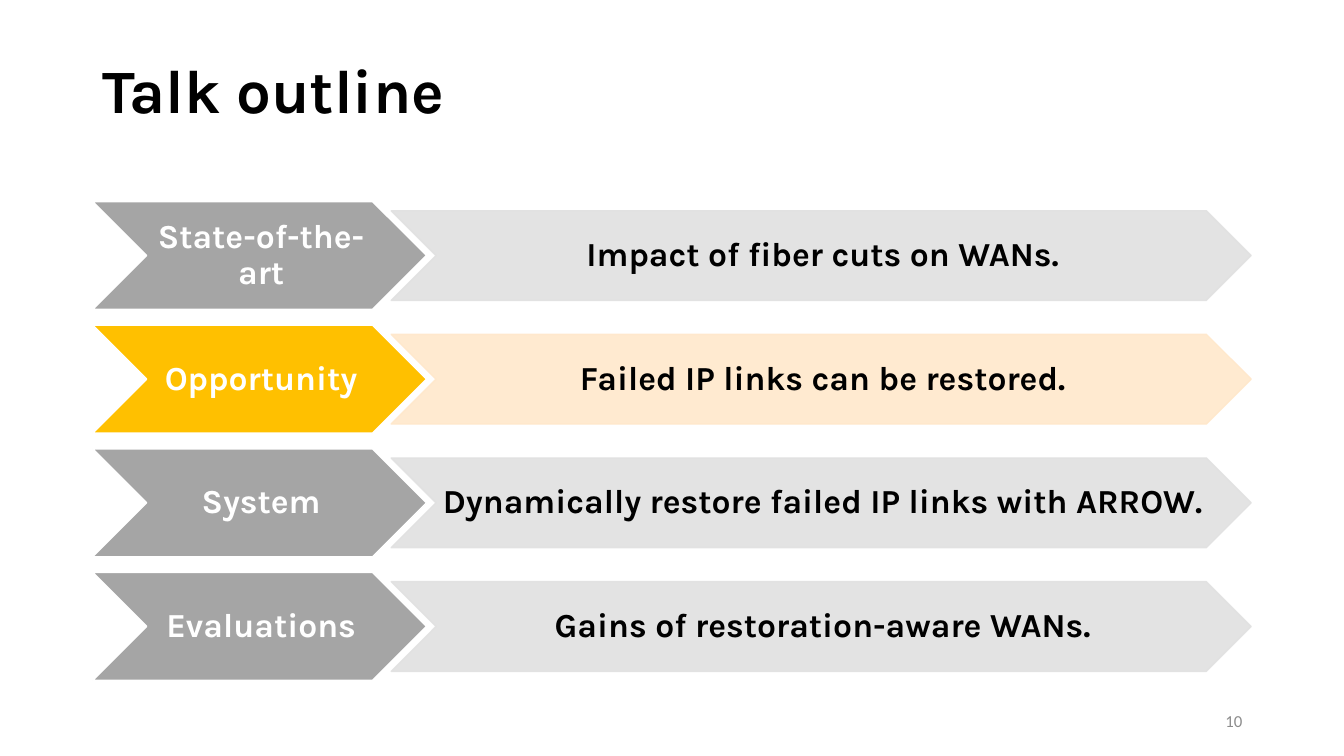
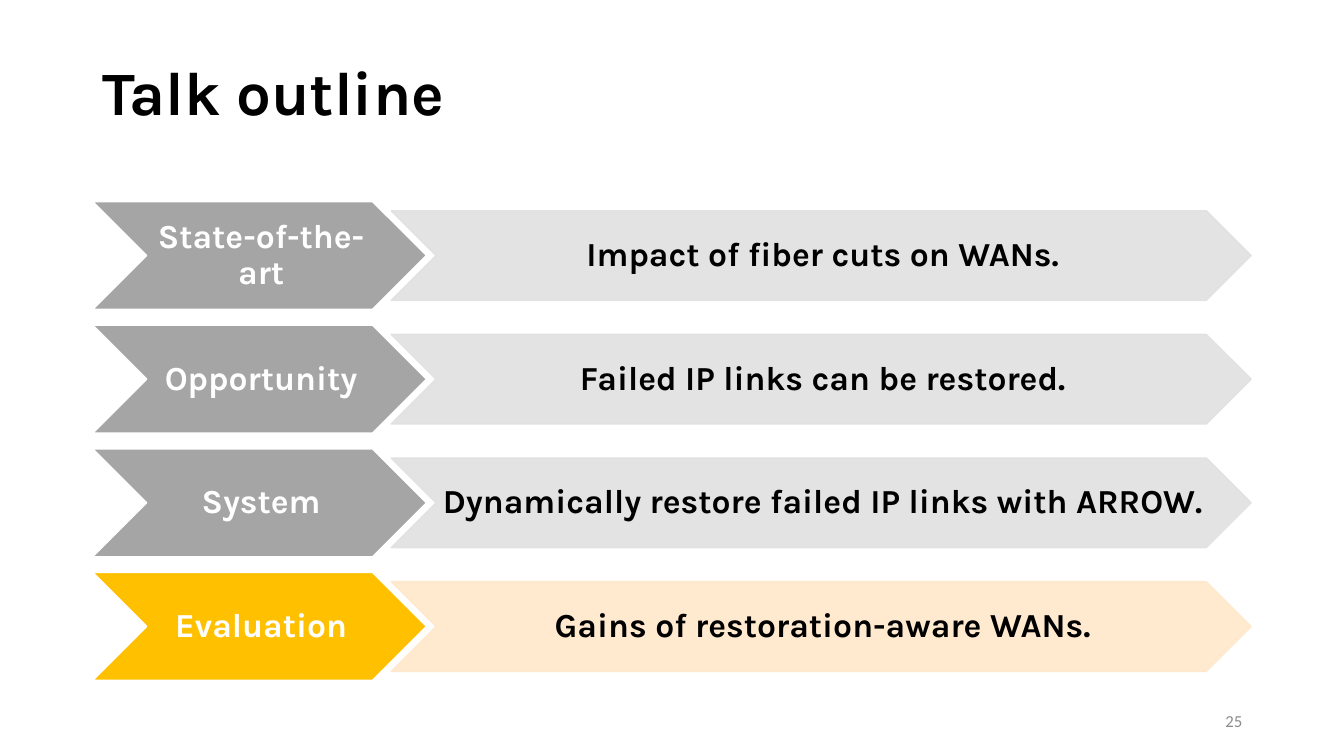
from dataclasses import dataclass

from pptx import Presentation
from pptx.dml.color import RGBColor
from pptx.enum.shapes import MSO_SHAPE
from pptx.enum.text import MSO_ANCHOR, PP_ALIGN
from pptx.oxml.ns import qn
from pptx.util import Inches, Pt
from lxml import etree

CHEVRON = MSO_SHAPE.CHEVRON
MIDDLE = MSO_ANCHOR.MIDDLE
LEFT, CENTER, RIGHT = PP_ALIGN.LEFT, PP_ALIGN.CENTER, PP_ALIGN.RIGHT

# Shared look
HEAD, BODY = "Karla", "Calibri"
BLACK, WHITE, MUTED = "000000", "FFFFFF", "8C8C8C"
EDGE = 0.92
TOP, LAST = 2, 5.68
TAG_W, TAG_H = 3.31, 1.07
BAR_X, BAR_W, BAR_H = 3.88, 8.53, 0.89
ALPHA = 90


@dataclass(frozen=True)
class Tone:
    tag: str
    bar: str


@dataclass(frozen=True)
class Topic:
    name: str
    point: str


@dataclass(frozen=True)
class Outline:
    page: int
    title_h: float
    active: int
    topics: tuple[Topic, ...]


DIM = Tone("A5A5A5", "E1E1E1")
LIT = Tone("FFC000", "FFE8CB")

COMMON = (
    Topic("State-of-the-art", "Impact of fiber cuts on WANs."),
    Topic("Opportunity", "Failed IP links can be restored."),
    Topic("System", "Dynamically restore failed IP links with ARROW."),
)
GAINS = "Gains of restoration-aware WANs."
SLIDES = (
    Outline(10, 1.06, 1, COMMON + (Topic("Evaluations", GAINS),)),
    Outline(25, 1.09, 3, COMMON + (Topic("Evaluation", GAINS),)),
)


def color(code: str) -> RGBColor:
    return RGBColor.from_string(code)


def write(shape, text: str, size: int, ink: str, align,
          font: str = HEAD, bold: bool = True, spacing: float = 0.9) -> None:
    frame = shape.text_frame
    frame.text = text
    frame.word_wrap = True
    frame.vertical_anchor = MIDDLE
    para = frame.paragraphs[0]
    para.alignment = align
    para.line_spacing = spacing
    style = para.runs[0].font
    style.name, style.size, style.bold = font, Pt(size), bold
    style.color.rgb = color(ink)


def add_box(slide, left: float, top: float, width: float, height: float):
    return slide.shapes.add_textbox(
        Inches(left), Inches(top), Inches(width), Inches(height))


def add_arrow(slide, left: float, mid: float, width: float, height: float,
              fill: str, line: str, text: str, ink: str):
    """Draw a chevron centred on the height mid, with its text inside."""
    shape = slide.shapes.add_shape(
        CHEVRON, Inches(left), Inches(mid - height / 2),
        Inches(width), Inches(height))
    shape.shadow.inherit = False
    shape.fill.solid()
    shape.fill.fore_color.rgb = color(fill)
    shape.line.color.rgb = color(line)
    shape.line.width = Pt(1)
    frame = shape.text_frame
    frame.margin_left, frame.margin_right = Inches(0.03), Inches(0)
    frame.margin_top = frame.margin_bottom = Inches(0.02)
    write(shape, text, 24, ink, CENTER)
    return shape


def fade(shape, percent: int) -> None:
    """Make the fill and the line of a shape see-through."""
    for tint in shape.element.spPr.iter(qn("a:srgbClr")):
        etree.SubElement(tint, qn("a:alpha"), val=str(percent * 1000))


def add_row(slide, topic: Topic, mid: float, tone: Tone) -> None:
    add_arrow(slide, EDGE, mid, TAG_W, TAG_H,
              tone.tag, WHITE, topic.name, WHITE)
    bar = add_arrow(slide, BAR_X, mid, BAR_W, BAR_H,
                    tone.bar, tone.bar, topic.point, BLACK)
    fade(bar, ALPHA)


def add_outline(deck, plan: Outline) -> None:
    slide = deck.slides.add_slide(deck.slide_layouts[6])

    # Title
    title = add_box(slide, EDGE, 0.4, 11.5, plan.title_h)
    write(title, "Talk outline", 44, BLACK, LEFT)

    # Topic rows
    step = (LAST - TOP) / (len(plan.topics) - 1)
    for i, topic in enumerate(plan.topics):
        mid = TOP + TAG_H / 2 + i * step
        add_row(slide, topic, mid, LIT if i == plan.active else DIM)

    # Page number
    page = add_box(slide, 9.42, 6.95, 3, 0.4)
    write(page, str(plan.page), 12, MUTED, RIGHT, BODY, False, 1.0)


def main() -> None:
    deck = Presentation()
    deck.slide_width, deck.slide_height = Inches(13.33), Inches(7.5)
    for plan in SLIDES:
        add_outline(deck, plan)
    deck.save("out.pptx")


if __name__ == "__main__":
    main()
